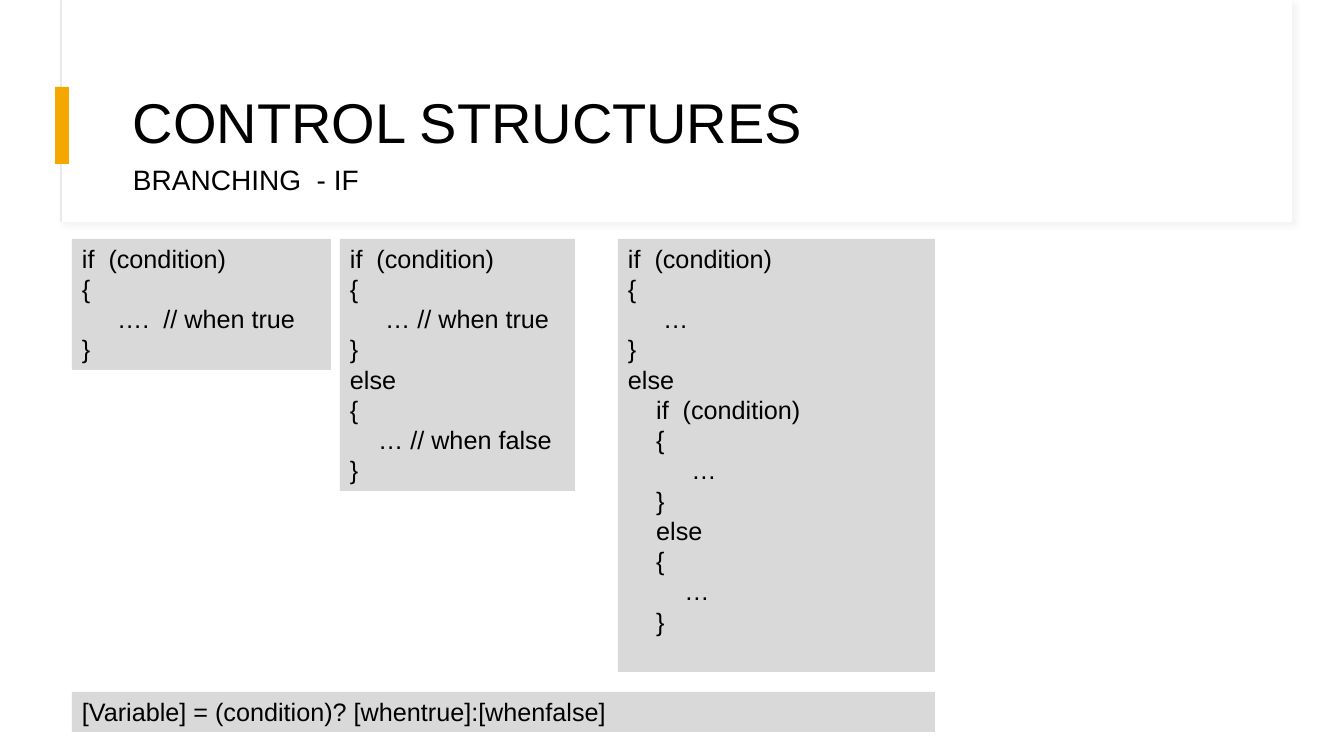
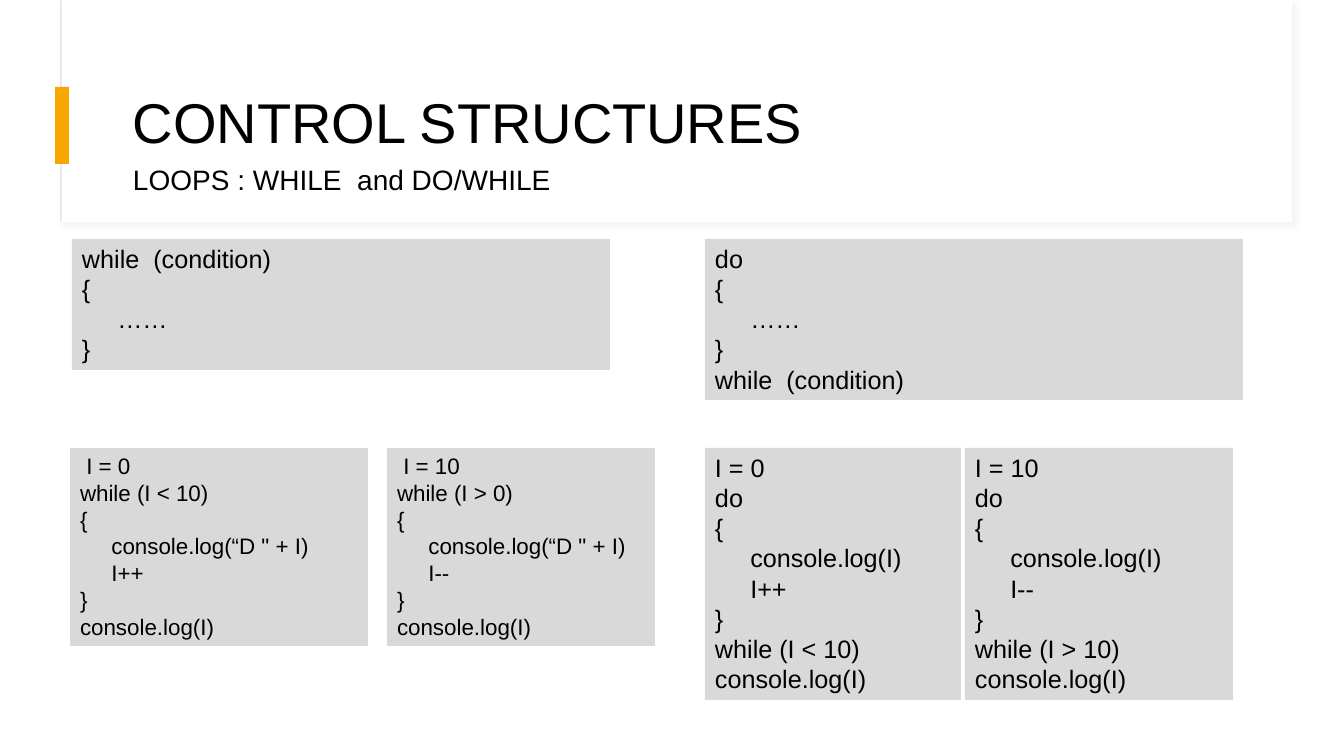
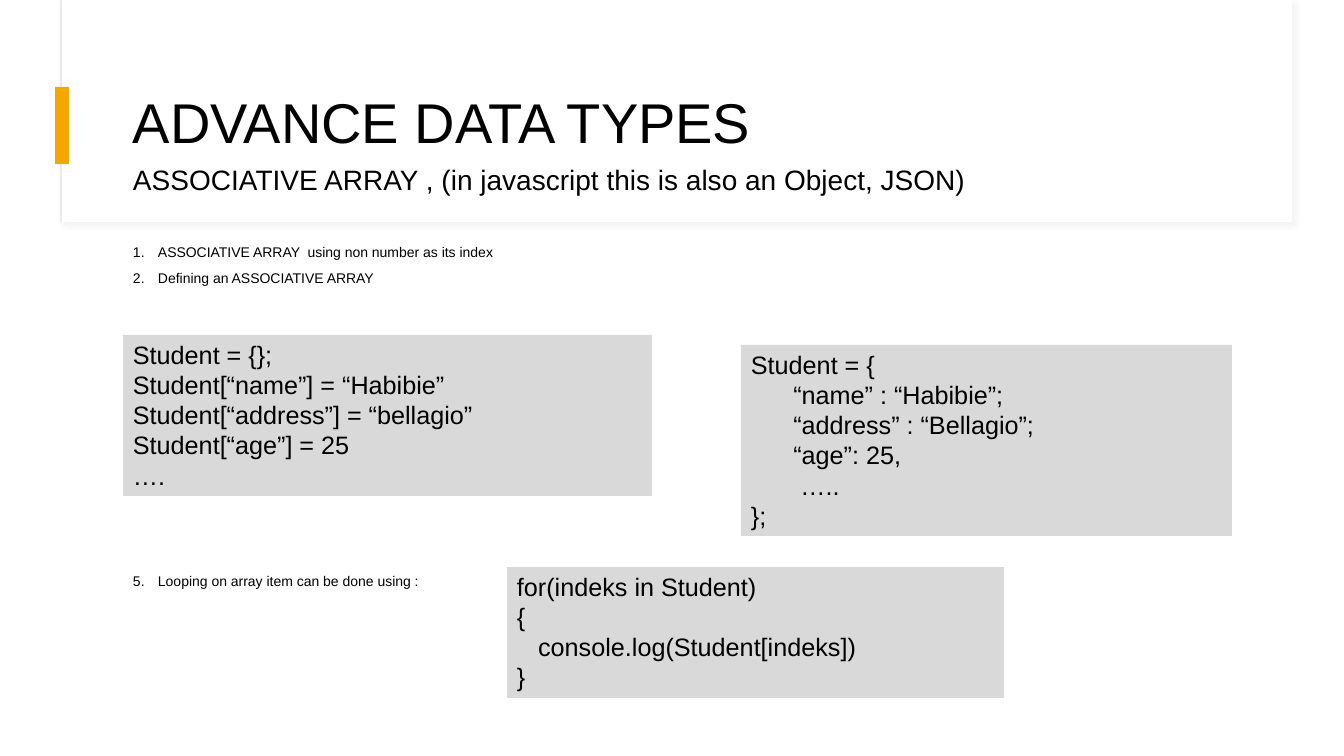
import lxml.etree
import pptx
import pptx.dml.color
import pptx.enum.shapes
import pptx.enum.text
import pptx.oxml
import pptx.oxml.ns
import pptx.util

PIXEL = 914400 / 100.8
PAGE_SIZE = (1344, 756)
FONT = "Arial"
COLOURS = {
    "text": "000000",
    "band": "FFFFFF",
    "band_edge": "E9E9E9",
    "shadow": "D9D9D9",
    "accent": "F5A700",
    "code": "D9D9D9",
}
LINE_HEIGHT = 1.2
SPACE_WIDTH = 0.28
CODE_PADDING = 10


def px(length):
    """Turn pixels into EMU."""
    return pptx.util.Emu(round(length * PIXEL))


def colour(name):
    """Return a named colour."""
    return pptx.dml.color.RGBColor.from_string(COLOURS[name])


def add_rectangle(page, place, fill, line=None):
    """Add a plain filled rectangle at (left, top, width, height)."""
    box = page.shapes.add_shape(
        pptx.enum.shapes.MSO_SHAPE.RECTANGLE, *map(px, place))
    box.shadow.inherit = False
    box.fill.solid()
    box.fill.fore_color.rgb = colour(fill)
    if line:
        box.line.color.rgb = colour(line)
        box.line.width = pptx.util.Pt(0.75)
    else:
        box.line.fill.background()
    return box


def add_soft_shadow(box):
    """Give a shape a faint shadow towards the lower right."""
    effects = box.element.spPr.find(pptx.oxml.ns.qn("a:effectLst"))
    effects.append(pptx.oxml.parse_xml(
        f'<a:outerShdw {pptx.oxml.ns.nsdecls("a")} blurRad="50800" dist="38100" '
        f'dir="2700000"><a:srgbClr val="{COLOURS["shadow"]}">'
        '<a:alpha val="30000"/></a:srgbClr></a:outerShdw>'))


def set_number(para, start, indent=25):
    """Number a paragraph with a hanging indent in pixels."""
    properties = para._p.get_or_add_pPr()
    properties.set("marL", str(px(indent)))
    properties.set("indent", str(-px(indent)))
    number = lxml.etree.SubElement(
        properties, pptx.oxml.ns.qn("a:buAutoNum"), type="arabicPeriod")
    if start > 1:
        number.set("startAt", str(start))


def write_text(box, text, *, size, spacing, before=0, middle=False,
               inset_top=5, number=None):
    """Write one paragraph per line; leading spaces become an indent."""
    frame = box.text_frame
    frame.word_wrap = True
    frame.margin_left = frame.margin_right = px(10)
    frame.margin_top, frame.margin_bottom = px(inset_top), px(5)
    anchors = pptx.enum.text.MSO_ANCHOR
    frame.vertical_anchor = anchors.MIDDLE if middle else anchors.TOP
    for index, line in enumerate(text.split("\n")):
        para = frame.add_paragraph() if index else frame.paragraphs[0]
        para.alignment = pptx.enum.text.PP_ALIGN.LEFT
        para.line_spacing = spacing
        para.space_before = pptx.util.Pt(before)
        words = line.lstrip(" ")
        depth = len(line) - len(words)
        if depth:
            indent = pptx.util.Pt(depth * size * SPACE_WIDTH)
            para._p.get_or_add_pPr().set("marL", str(indent))
        if number:
            set_number(para, number)
        span = para.add_run()
        span.text = words
        span.font.name = FONT
        span.font.size = pptx.util.Pt(size)
        span.font.color.rgb = colour("text")


def add_text(page, text, place, **text_format):
    """Add a text box."""
    box = page.shapes.add_textbox(*map(px, place))
    write_text(box, text, **text_format)


def add_code(page, text, left, top, width, size=18, rows=None):
    """Add a grey code box as tall as its rows of text."""
    rows = rows or text.count("\n") + 1
    pitch = pptx.util.Pt(size * LINE_HEIGHT)
    height = round(rows * pitch / PIXEL) + CODE_PADDING
    box = add_rectangle(page, (left, top, width, height), "code")
    write_text(box, text, size=size, spacing=pitch, inset_top=4)


def add_numbered(page, text, top, height, start=1):
    """Add a small numbered list."""
    add_text(page, text, (123, top, 864, height), size=10,
             spacing=pptx.util.Pt(13.2), before=5, number=start)


def add_page(deck, title, subtitle):
    """Add a slide with the shared title band."""
    page = deck.slides.add_slide(deck.slide_layouts[6])
    add_soft_shadow(
        add_rectangle(page, (61, 0, 1231, 222), "band", "band_edge"))
    add_rectangle(page, (62, 0, 1230, 222), "band")
    add_rectangle(page, (55, 87, 14, 77), "accent")
    add_text(page, title, (123, 60, 1121, 130),
             size=40, spacing=0.9, middle=True)
    add_text(page, subtitle, (123, 163, 1121, 39),
             size=20, spacing=0.8, middle=True)
    return page


def add_branching(deck):
    """Add the slide on if and else."""
    page = add_page(deck, "CONTROL STRUCTURES", "BRANCHING  - IF")
    top = 239
    add_code(page, "if  (condition)\n{\n     ….  // when true\n}", 72, top, 259)
    add_code(page, "if  (condition)\n{\n     … // when true\n}\n"
             "else\n{\n    … // when false\n}", 340, top, 235)
    add_code(page, "if  (condition)\n{\n     …\n}\nelse\n"
             "    if  (condition)\n    {\n         …\n    }\n"
             "    else\n    {\n        …\n    }", 618, top, 317, rows=14)
    add_code(page, "[Variable] = (condition)? [whentrue]:[whenfalse]",
             72, 692, 863)


def add_loops(deck):
    """Add the slide on while and do/while."""
    page = add_page(deck, "CONTROL STRUCTURES", "LOOPS : WHILE  and DO/WHILE")
    syntax_top, example_top = 239, 448
    body = "{\n     ……\n}"
    add_code(page, f"while  (condition)\n{body}", 72, syntax_top, 538)
    add_code(page, f"do\n{body}\nwhile  (condition)", 705, syntax_top, 538)

    for left, width, first, test, step in (
            (70, 298, 0, "I < 10", "I++"),
            (387, 268, 10, "I > 0", "I--")):
        add_code(page, f" I = {first}\nwhile ({test})\n{{\n"
                 f"     console.log(“D \" + I)\n     {step}\n}}\n"
                 "console.log(I)", left, example_top, width, size=16)

    for left, width, first, test, step in (
            (705, 256, 0, "I < 10", "I++"),
            (965, 268, 10, "I > 10", "I--")):
        add_code(page, f"I = {first}\ndo\n{{\n     console.log(I)\n"
                 f"     {step}\n}}\nwhile ({test})\nconsole.log(I)",
                 left, example_top, width)


def add_associative_array(deck):
    """Add the slide on associative arrays."""
    page = add_page(
        deck, "ADVANCE DATA TYPES",
        "ASSOCIATIVE ARRAY , (in javascript this is also an Object, JSON)")
    add_numbered(page, "ASSOCIATIVE ARRAY  using non number as its index\n"
                 "Defining an ASSOCIATIVE ARRAY", 237, 64)
    add_code(page, "Student = {};\nStudent[“name”] = “Habibie”\n"
             "Student[“address”] = “bellagio”\nStudent[“age”] = 25\n….",
             123, 335, 529)
    add_code(page, "Student = {\n      “name” : “Habibie”;\n"
             "      “address” : “Bellagio”;\n      “age”: 25,\n"
             "       …..\n};", 741, 345, 491)
    add_numbered(page, "Looping on array item can be done using :",
                 566, 35, start=5)
    add_code(page, "for(indeks in Student)\n{\n"
             "   console.log(Student[indeks])\n}", 507, 567, 497)


def main():
    """Build and save the deck."""
    deck = pptx.Presentation()
    deck.slide_width, deck.slide_height = map(px, PAGE_SIZE)
    add_branching(deck)
    add_loops(deck)
    add_associative_array(deck)
    deck.save("out.pptx")


main()
